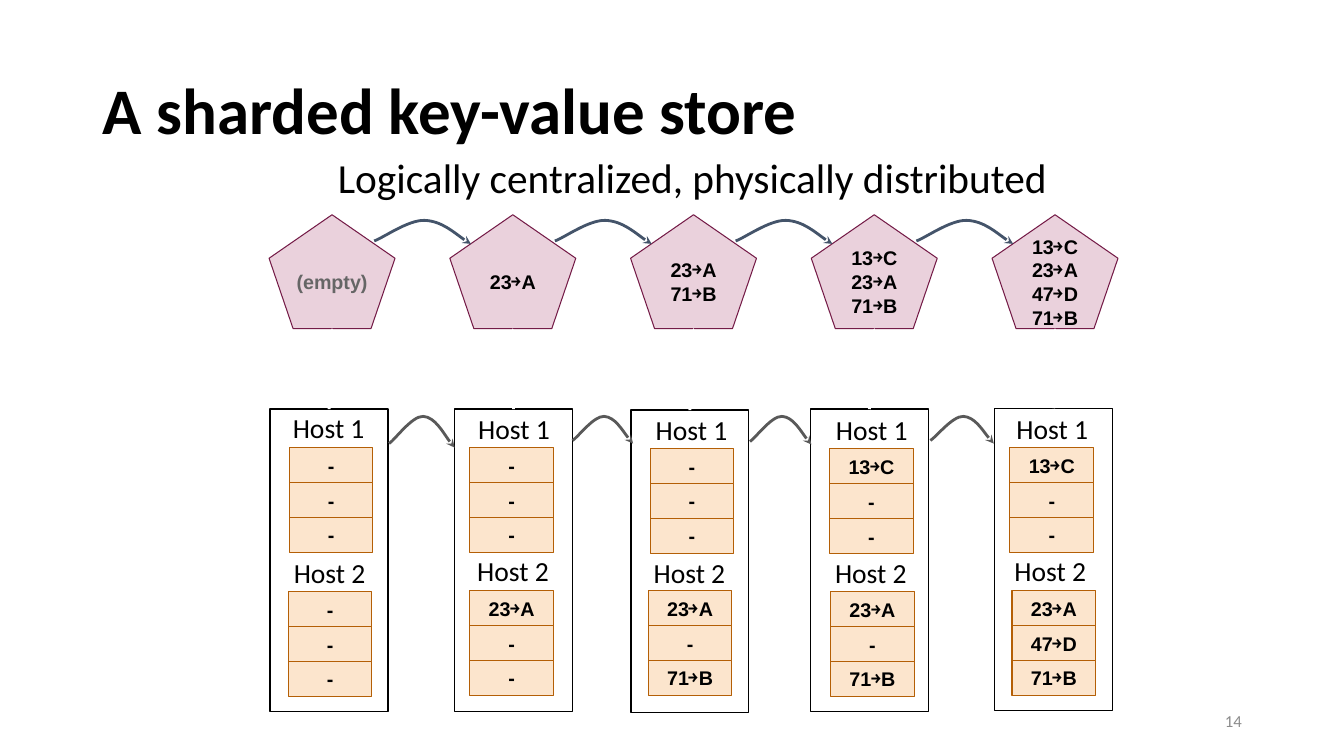
from lxml import etree
from pptx import Presentation
from pptx.dml.color import RGBColor
from pptx.enum.dml import MSO_LINE
from pptx.enum.shapes import MSO_CONNECTOR, MSO_SHAPE
from pptx.enum.text import MSO_ANCHOR, MSO_AUTO_SIZE, PP_ALIGN
from pptx.oxml.ns import qn
from pptx.util import Pt

RECT, PENTAGON = MSO_SHAPE.RECTANGLE, MSO_SHAPE.REGULAR_PENTAGON
LEFT, CENTER, RIGHT = PP_ALIGN.LEFT, PP_ALIGN.CENTER, PP_ALIGN.RIGHT
MIDDLE, NO_FIT = MSO_ANCHOR.MIDDLE, MSO_AUTO_SIZE.NONE
STRAIGHT, DASH = MSO_CONNECTOR.STRAIGHT, MSO_LINE.SQUARE_DOT

TITLE = dict(name="Calibri", size=46.4, bold=True, color="000000")
SUBTITLE = dict(name="Calibri", size=29.5, color="000000")
HOST = dict(name="Calibri", size=19.7, color="000000")
NUMBER = dict(name="Calibri", size=12, color="8C8C8C")
ENTRY = dict(name="Arial", size=14.1, bold=True, color="000000")
EMPTY = dict(ENTRY, color="666666")

STATES = [
    ["(empty)"],
    ["23￫A"],
    ["23￫A", "71￫B"],
    ["13￫C", "23￫A", "71￫B"],
    ["13￫C", "23￫A", "47￫D", "71￫B"],
]
BOXES = [(193, 292.3), (324.7, 292.3), (450.7, 293), (578.9, 292.3), (710.6, 291.6)]
HOST_ARCS = [
    None,
    ((277.9, 316.8), (324.7, 319.7)),
    ((409, 314.6), (452.2, 316.8)),
    ((535.7, 315.4), (579.6, 317.5)),
    ((664.6, 314.6), (709.9, 316.8)),
]
HOSTS = {
    "Host 1": (
        [(189.4, 290.9), (321.8, 291.6), (448.6, 292.3), (577.4, 292.3), (706.3, 291.6)],
        [(206.6, 319.7), (335.5, 319.7), (464.4, 320.4), (592.6, 320.6), (721.4, 319.7)],
        ["---", "---", "---", ["13￫C", "-", "-"], ["13￫C", "-", "-"]],
    ),
    "Host 2": (
        [(190.1, 393.8), (321.1, 392.4), (447.1, 393.8), (576.7, 393.8), (704.9, 392.4)],
        [(205.9, 422.6), (335.5, 421.9), (463, 421.9), (593.3, 422.6), (722.9, 421.9)],
        ["---", ["23￫A", "-", "-"], ["23￫A", "-", "71￫B"],
         ["23￫A", "-", "71￫B"], ["23￫A", "47￫D", "71￫B"]],
    ),
}
ROW_PITCH = 24.9


def rgb(color):
    return RGBColor.from_string(color)


class Deck:
    """Slide builder holding the presentation and the current slide."""

    def __init__(self, width, height):
        self.prs = Presentation()
        self.prs.slide_width, self.prs.slide_height = Pt(width), Pt(height)
        self.slide = self.prs.slides.add_slide(self.prs.slide_layouts[5])

    def fill_text(self, s, lines, font, align=CENTER, insets=(0, 0, 0, 0), spacing=None):
        tf = s.text_frame
        sides = ("margin_left", "margin_top", "margin_right", "margin_bottom")
        frame = dict(zip(sides, map(Pt, insets)), word_wrap=True,
                     auto_size=NO_FIT, vertical_anchor=MIDDLE)
        for key, value in frame.items():
            setattr(tf, key, value)
        for i, line in enumerate(lines):
            p = tf.add_paragraph() if i else tf.paragraphs[0]
            p.alignment = align
            if spacing:
                p.line_spacing = spacing
            r = p.add_run()
            r.text = line
            for key, value in font.items():
                if key == "color":
                    r.font.color.rgb = rgb(value)
                else:
                    setattr(r.font, key, Pt(value) if key == "size" else value)

    def title(self, text, x, y, w, h):
        s = self.slide.shapes.title
        s.left, s.top, s.width, s.height = map(Pt, (x, y, w, h))
        self.fill_text(s, [text], TITLE, LEFT, (7.2, 3.6, 7.2, 3.6), 0.9)

    def text(self, text, x, y, w, h, font, **style):
        s = self.slide.shapes.add_textbox(*map(Pt, (x, y, w, h)))
        self.fill_text(s, [text], font, **style)

    def shape(self, kind, x, y, w, h, fill, line, width):
        s = self.slide.shapes.add_shape(kind, *map(Pt, (x, y, w, h)))
        s.shadow.inherit = False
        s.fill.solid()
        s.fill.fore_color.rgb = rgb(fill)
        self.stroke(s, line, width)
        return s

    def stroke(self, s, color, width, arrow=None):
        s.line.color.rgb = rgb(color)
        s.line.width = Pt(width)
        if arrow:
            ln = s._element.spPr.find(qn("a:ln"))
            etree.SubElement(ln, qn("a:tailEnd"), type=arrow)

    def arc(self, start, end, peak, color):
        (x0, y0), (x1, y1) = start, end
        xs = [x0 + f * (x1 - x0) for f in (0.09, 0.35, 0.52, 0.7, 0.92, 1)]
        ys = [y0 + 0.14 * (peak - y0), peak - 0.4, peak, peak + 0.4,
              y1 + 0.16 * (peak - y1), y1]
        builder = self.slide.shapes.build_freeform(Pt(x0), Pt(y0))
        builder.add_line_segments([(Pt(x), Pt(y)) for x, y in zip(xs, ys)], close=False)
        s = builder.convert_to_shape()
        outline = s._element.xpath(".//a:path")[0]
        segments = list(outline)[1:]
        for i in (0, 3):
            curve = etree.SubElement(outline, qn("a:cubicBezTo"))
            for segment in segments[i:i + 3]:
                curve.append(segment[0])
                outline.remove(segment)
        s.shadow.inherit = False
        s.fill.background()
        self.stroke(s, color, 2, "stealth")

    def link(self, box, x, y):
        s = self.slide.shapes.add_connector(STRAIGHT, box.left, box.top, Pt(x), Pt(y))
        s.begin_connect(box, 0)
        s.line.dash_style = DASH
        self.stroke(s, "FFFFFF", 2, "triangle")
        etree.SubElement(s._element.spPr, qn("a:effectLst"))


def main():
    deck = Deck(960, 540)
    deck.title("A sharded key-value store", 66.2, 28.8, 828, 104.4)
    deck.text("14", 678.2, 500.4, 216, 28.8, NUMBER, align=RIGHT, insets=(7.2, 3.6, 7.2, 3.6))
    for i, state in enumerate(STATES):
        x = 192.2 + 129.1 * i
        pentagon = deck.shape(PENTAGON, x, 153.4, 90, 81.4, "EAD1DC", "741B47", 0.75)
        deck.fill_text(pentagon, state, ENTRY if i else EMPTY, insets=(0, 5, 0, 10))
        box = deck.shape(RECT, *BOXES[i], 84.2, 216, "FFFFFF", "000000", 1)
        deck.link(box, x + 45, 234.4)
        if i:
            deck.arc((x - 54, 172.1), (x + 15.1, 174.2), 157.4, "44546A")
            deck.arc(*HOST_ARCS[i], 297.4, "595959")
        for host, (labels, shards, entries) in HOSTS.items():
            deck.text(host, *labels[i], 90.7, 29.5, HOST)
            left, top = shards[i]
            for row, entry in enumerate(entries[i]):
                cell = deck.shape(RECT, left, top + row * ROW_PITCH, 59.8, 25.2,
                                  "FCE5CD", "B45F06", 0.75)
                deck.fill_text(cell, [entry], ENTRY)
    deck.text("Logically centralized, physically distributed", 233.3, 105.8, 522.7, 41.8, SUBTITLE)
    deck.prs.save("out.pptx")


if __name__ == "__main__":
    main()
